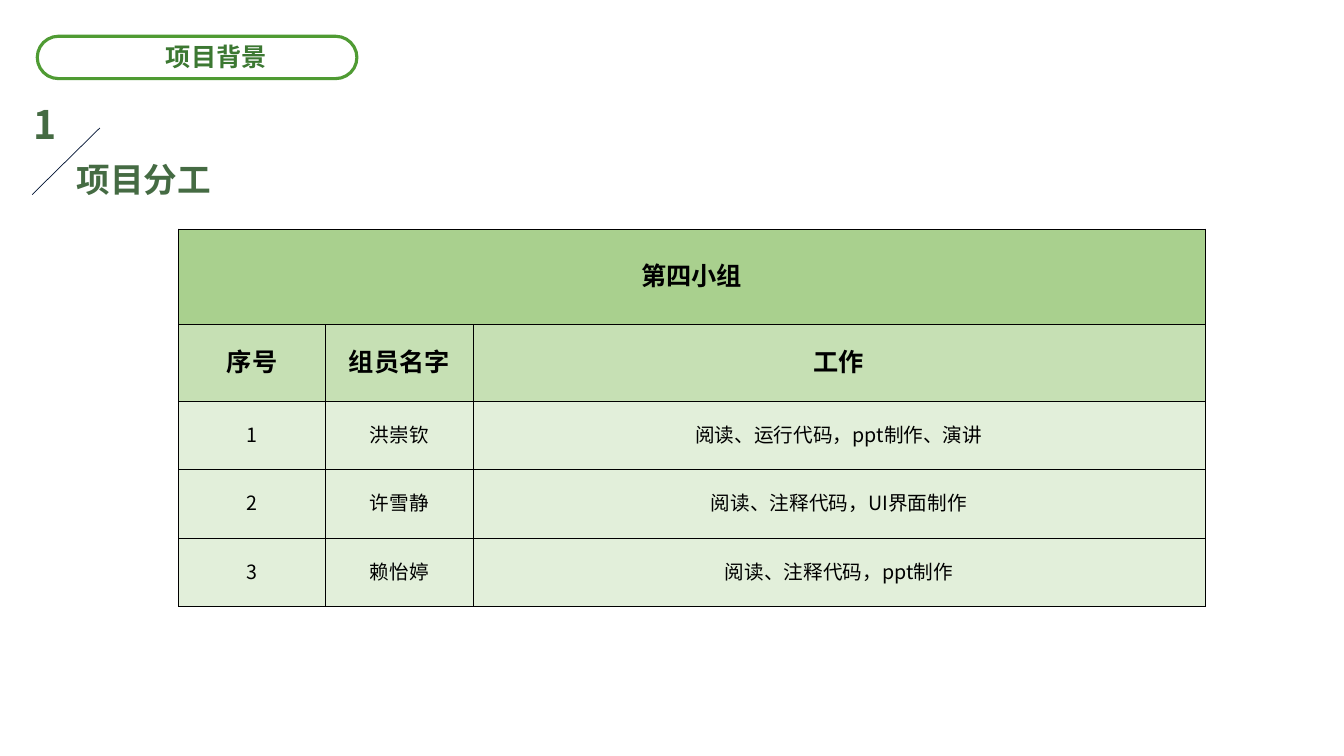
import pptx
import pptx.util
import pptx.dml.color
import pptx.enum.shapes
import pptx.enum.text
import pptx.oxml
import pptx.oxml.ns
from lxml import etree

Inches, Pt = pptx.util.Inches, pptx.util.Pt
ALIGN = pptx.enum.text.PP_ALIGN
ANCHOR = pptx.enum.text.MSO_ANCHOR
SANS, ARIAL = "Noto Sans CJK SC", "Arial"

# Content
SECTION = "项目背景"
NUMBER, TITLE = "1", "项目分工"
GROUP = "第四小组"
HEADINGS = ("序号", "组员名字", "工作")
MEMBERS = [
    ("1", "洪崇钦", "阅读、运行代码，ppt制作、演讲"),
    ("2", "许雪静", "阅读、注释代码，UI界面制作"),
    ("3", "赖怡婷", "阅读、注释代码，ppt制作"),
]

# Formats
COLUMN_WIDTHS = (1.46, 1.46, 7.26)
ROW_HEIGHTS = (0.95, 0.76) + (0.68,) * len(MEMBERS)
ROW_FILLS = ("A9D08E", "C6E0B4") + ("E2EFDA",) * len(MEMBERS)
HEADING_FONT = {"size": Pt(18), "bold": True, "name": ARIAL}
MEMBER_FONTS = [{"size": Pt(14), "bold": False, "name": name}
                for name in (SANS, ARIAL, SANS)]
CELL_FORMAT = {
    "margin_left": Inches(0.01), "margin_right": Inches(0.01),
    "margin_top": Inches(0.01), "margin_bottom": Inches(0.05),
    "vertical_anchor": ANCHOR.MIDDLE,
}
FRAME_FORMAT = {
    "margin_left": Inches(0.1), "margin_right": Inches(0.1),
    "margin_top": Inches(0.05), "margin_bottom": Inches(0.05),
    "vertical_anchor": ANCHOR.TOP, "word_wrap": True,
    "auto_size": pptx.enum.text.MSO_AUTO_SIZE.NONE,
}


def rgb(value):
    return pptx.dml.color.RGBColor.from_string(value)


def apply(target, formats):
    for name, value in formats.items():
        setattr(target, name, value)


def write(frame, text, color, align, font):
    paragraph = frame.paragraphs[0]
    paragraph.alignment = align
    run = paragraph.add_run()
    run.text = text
    apply(run.font, font)
    run.font.color.rgb = rgb(color)
    east_asian = etree.SubElement(run.font._element, pptx.oxml.ns.qn("a:ea"))
    east_asian.set("typeface", SANS)


def label(shape, box, text, size, color, align=ALIGN.LEFT):
    places = ("left", "top", "width", "height")
    apply(shape, {name: Inches(v) for name, v in zip(places, box)})
    apply(shape.text_frame, FRAME_FORMAT)
    write(shape.text_frame, text, color, align,
          {"size": Pt(size), "bold": True, "name": SANS})


def add_borders(cell):
    properties = cell._tc.get_or_add_tcPr()
    for position, side in enumerate(("lnL", "lnR", "lnT", "lnB")):
        properties.insert(position, pptx.oxml.parse_xml(
            f'<a:{side} {pptx.oxml.ns.nsdecls("a")} w="{Pt(0.5)}"><a:solidFill>'
            f'<a:srgbClr val="000000"/></a:solidFill></a:{side}>'))


def add_heading(slide):
    # Number, slash and title
    label(slide.shapes.title, (0.66, 1.53, 4.35, 0.5), TITLE, 24, "456B43")
    number = slide.shapes.add_textbox(0, 0, 0, 0)
    label(number, (0.23, 0.95, 0.48, 0.57), NUMBER, 28, "456B43")
    slash = slide.shapes.add_connector(
        pptx.enum.shapes.MSO_CONNECTOR.STRAIGHT,
        Inches(0.32), Inches(1.93), Inches(0.99), Inches(1.27))
    slash.line.color.rgb = rgb("001333")
    slash.line.width = Pt(0.5)
    etree.SubElement(slash._element.spPr, pptx.oxml.ns.qn("a:effectLst"))

    # Section pill
    pill = slide.shapes.add_shape(
        pptx.enum.shapes.MSO_SHAPE.ROUNDED_RECTANGLE,
        Inches(0.37), Inches(0.36), Inches(3.17), Inches(0.42))
    pill.adjustments[0] = 0.5
    pill.shadow.inherit = False
    pill.fill.solid()
    pill.fill.fore_color.rgb = rgb("FFFFFF")
    pill.line.color.rgb = rgb("4F9B33")
    pill.line.width = Pt(2.25)
    section = slide.shapes.add_textbox(0, 0, 0, 0)
    label(section, (0.89, 0.36, 2.51, 0.4), SECTION, 18, "3C7832", ALIGN.CENTER)


def add_division_table(slide):
    rows = [(GROUP, "", ""), HEADINGS, *MEMBERS]
    division = slide.shapes.add_table(
        len(rows), len(HEADINGS), Inches(1.77), Inches(2.27),
        Inches(sum(COLUMN_WIDTHS)), Inches(sum(ROW_HEIGHTS))).table
    for column, width in zip(division.columns, COLUMN_WIDTHS):
        column.width = Inches(width)
    for row, height in zip(division.rows, ROW_HEIGHTS):
        row.height = Inches(height)
    division.cell(0, 0).merge(division.cell(0, len(HEADINGS) - 1))

    for r, texts in enumerate(rows):
        fonts = [HEADING_FONT] * len(HEADINGS) if r < 2 else MEMBER_FONTS
        for c, (text, font) in enumerate(zip(texts, fonts)):
            cell = division.cell(r, c)
            apply(cell, CELL_FORMAT)
            cell.fill.solid()
            cell.fill.fore_color.rgb = rgb(ROW_FILLS[r])
            add_borders(cell)
            if text:
                write(cell.text_frame, text, "000000", ALIGN.CENTER, font)


def main():
    deck = pptx.Presentation()
    deck.slide_width, deck.slide_height = Inches(13.33), Inches(7.5)
    slide = deck.slides.add_slide(deck.slide_layouts[5])
    add_heading(slide)
    add_division_table(slide)
    deck.save("out.pptx")


if __name__ == "__main__":
    main()
